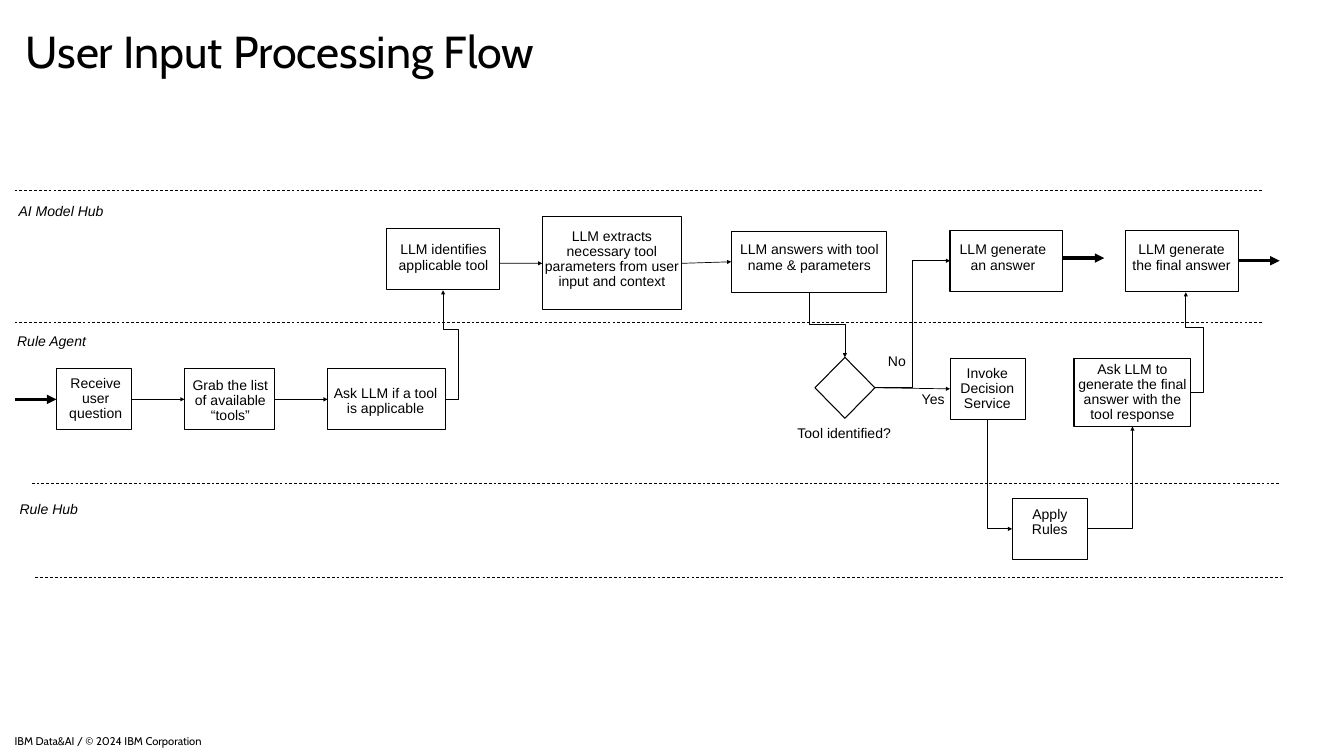
from lxml.etree import SubElement
from pptx import Presentation
from pptx.dml.color import RGBColor
from pptx.enum.dml import MSO_LINE
from pptx.enum.shapes import MSO_CONNECTOR, MSO_SHAPE
from pptx.enum.text import MSO_ANCHOR, PP_ALIGN
from pptx.oxml.ns import qn
from pptx.util import Pt

BLACK = RGBColor(0, 0, 0)
RIGHT, LEFT = 3, 1

STEPS = {
    "receive": ((80.6, 527, 107.3, 87), (79.2, 537, 115.2, 87), "Receive user question"),
    "grab": ((263.5, 527, 128.9, 87), (268.6, 540, 121, 87), "Grab the list of available “tools”"),
    "ask": ((468, 527, 168.5, 87), (470.2, 551.5, 161.3, 87), "Ask LLM if a tool is applicable"),
    "identify": ((552.2, 327, 161.3, 87), (553, 347, 161.3, 57.6), "LLM identifies applicable tool"),
    "extract": ((774.7, 309.6, 199.2, 133.2), (776.2, 327, 196, 61.2),
                "LLM extracts necessary tool parameters from user input and context"),
    "params": ((1044.7, 330.5, 221.8, 87), (1046.2, 347, 220.3, 57.6),
               "LLM answers with tool name & parameters"),
    "choice": ((1164.2, 510.5, 85.7, 87), (1125.4, 609, 161.3, 54), "Tool identified?"),
    "answer": ((1357.2, 329, 161.3, 87), (1366.6, 347, 132.5, 57.6), "LLM generate an answer"),
    "invoke": ((1357.2, 512, 107.3, 87), (1344.2, 523.4, 132.5, 87), "Invoke Decision Service"),
    "apply": ((1445.8, 712, 107.3, 87), (1457.3, 724.3, 85, 56), "Apply Rules"),
    "respond": ((1534.3, 512, 167, 97.2), (1534.3, 517, 167, 87),
                "Ask LLM to generate the final answer with the tool response"),
    "final": ((1607.8, 329, 161.3, 87), (1613.5, 347, 149, 57.6), "LLM generate the final answer"),
}

LANES = [(20.9, 272.2), (20.9, 460.8), (45.4, 689.8), (50.4, 824.4)]
LANE_WIDTH = 1783

LABELS = [
    ((26.6, 291.6, 161.3, 54), "AI Model Hub"),
    ((24.5, 477.4, 161.3, 54), "Rule Agent"),
    ((28, 717, 161.3, 54), "Rule Hub"),
]

ARROWS = [
    ((20.9, 570.5), "receive", 4.5),
    ("receive", "grab", 1),
    ("grab", "ask", 1),
    ((714, 376), "extract", 1),
    ("extract", "params", 1),
    ("choice", "invoke", 1),
    ("final", (1828, 372.5), 4.5),
    ((1518, 368.6), (1577.5, 368.6), 4.5),
]

BENDS = [
    ((636.5, 570.5), (632.9, 414.7), (-4.96, 0.64), False),
    ((1249.9, 554), (1357.2, 372.5), (0.5,), False),
    ((1155.6, 417.5), (1207, 510.5), (0.5,), True),
    ((1410.8, 599), (1445.8, 755.5), (), True),
    ((1553.1, 755.5), (1617.8, 609.2), (), False),
    ((1701.3, 560.6), (1694.1, 417.6), (-2.57, 0.65), False),
]


def points(values):
    return [Pt(value) for value in values]


def add_text(slide, area, words, size=20, font="Arial", align=PP_ALIGN.LEFT,
             spacing=0.9, italic=False, anchor=MSO_ANCHOR.TOP):
    frame = slide.shapes.add_textbox(*points(area)).text_frame
    frame.word_wrap = True
    frame.vertical_anchor = anchor
    frame.margin_left = frame.margin_right = frame.margin_top = frame.margin_bottom = 0
    para = frame.paragraphs[0]
    para.alignment = align
    para.line_spacing = spacing
    run = para.add_run()
    run.text = words
    run.font.name = font
    run.font.size = Pt(size)
    run.font.italic = italic
    run.font.color.rgb = BLACK
    return para


def add_step(slide, kind, area):
    shape = slide.shapes.add_shape(kind, *points(area))
    shape.shadow.inherit = False
    shape.fill.background()
    shape.line.color.rgb = BLACK
    shape.line.width = Pt(1.5)
    return shape


def add_line(slide, kind, start, end, width=1, head=True):
    line = slide.shapes.add_connector(kind, *points((*start, *end)))
    line.line.color.rgb = BLACK
    line.line.width = Pt(width)
    props = line._element.spPr
    if head:
        SubElement(props.find(qn("a:ln")), qn("a:tailEnd"), type="triangle")
    SubElement(props, qn("a:effectLst"))
    return line


def add_arrow(slide, shapes, start, end, width):
    first, last = shapes.get(start), shapes.get(end)
    line = add_line(slide, MSO_CONNECTOR.STRAIGHT, (0, 0) if first else start,
                    (0, 0) if last else end, width)
    if first:
        line.begin_connect(first, RIGHT)
    if last:
        line.end_connect(last, LEFT)


def add_bend(slide, start, end, ratios, turned):
    if turned:
        mid_x, mid_y = (start[0] + end[0]) / 2, (start[1] + end[1]) / 2
        half_x, half_y = (end[0] - start[0]) / 2, (end[1] - start[1]) / 2
        start = mid_x + half_y, mid_y - half_x
        end = mid_x - half_y, mid_y + half_x
    line = add_line(slide, MSO_CONNECTOR.ELBOW, start, end)
    props = line._element.spPr
    if turned:
        props.find(qn("a:xfrm")).set("rot", str(270 * 60000))
    shape = props.find(qn("a:prstGeom"))
    shape.set("prst", f"bentConnector{len(ratios) + 2}")
    guides = shape.find(qn("a:avLst"))
    for index, ratio in enumerate(ratios, 1):
        name = f"adj{index}"
        SubElement(guides, qn("a:gd"), name=name, fmla=f"val {round(ratio * 100000)}")


def add_lane(slide, left, top):
    line = add_line(slide, MSO_CONNECTOR.STRAIGHT, (left, top),
                    (left + LANE_WIDTH, top), head=False)
    line.line.dash_style = MSO_LINE.DASH


def main():
    deck = Presentation()
    deck.slide_width, deck.slide_height = Pt(1920), Pt(1080)
    slide = deck.slides.add_slide(deck.slide_layouts[6])

    add_text(slide, (36.7, 26.6, 1674.7, 68.4), "User Input Processing Flow",
             size=64, font="Cabin", spacing=1.1)
    footer = add_text(slide, (20.9, 1038.2, 390.2, 30.2), "IBM Data&AI / © 2024 IBM Corporation",
                      size=16, font="Cabin", spacing=1.0, anchor=MSO_ANCHOR.BOTTOM)
    footer.space_after = Pt(6)

    for left, top in LANES:
        add_lane(slide, left, top)
    for area, words in LABELS:
        add_text(slide, area, words, italic=True)

    shapes = {}
    for name, (area, place, words) in STEPS.items():
        kind = MSO_SHAPE.DIAMOND if name == "choice" else MSO_SHAPE.RECTANGLE
        shapes[name] = add_step(slide, kind, area)
        add_text(slide, place, words, align=PP_ALIGN.CENTER)

    for start, end, width in ARROWS:
        add_arrow(slide, shapes, start, end, width)
    for bend in BENDS:
        add_bend(slide, *bend)
    for left, top, words in [(1296.7, 561, "Yes"), (1245, 506.2, "No")]:
        add_text(slide, (left, top, 72.7, 28), words, align=PP_ALIGN.CENTER)

    deck.save("out.pptx")


if __name__ == "__main__":
    main()
